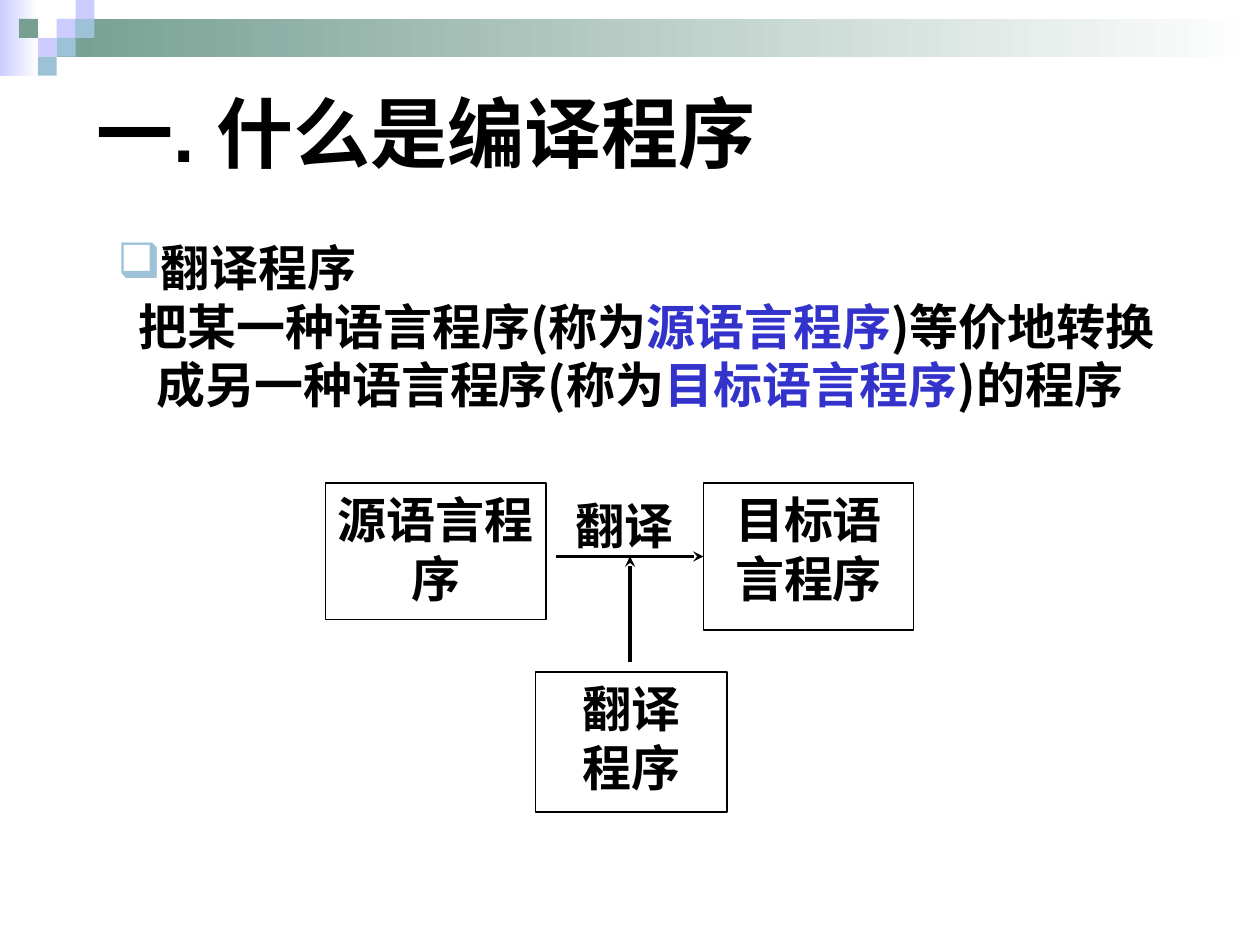
from dataclasses import dataclass

import pptx
import pptx.util
import pptx.dml.color
import pptx.enum.shapes
import pptx.enum.text
import pptx.oxml
import pptx.oxml.ns

ALIGN = pptx.enum.text.PP_ALIGN
ANCHOR = pptx.enum.text.MSO_ANCHOR
RECTANGLE = pptx.enum.shapes.MSO_SHAPE.RECTANGLE
STRAIGHT = pptx.enum.shapes.MSO_CONNECTOR.STRAIGHT


@dataclass(frozen=True)
class Theme:
    ink: str = "000000"
    term: str = "3333CC"
    lilac: str = "CCCCFF"
    sky: str = "9DC2D7"
    green: str = "779F92"
    paper: str = "FFFFFF"
    heading_font: str = "Arial"
    body_font: str = "Noto Sans CJK SC"
    label_font: str = "Times New Roman"
    heading_size: int = 44
    body_size: int = 28
    outline: float = 0.75
    arrow: int = 2


THEME = Theme()


def grid(*counts):
    """Lengths in grid units; the slide has 120 columns and 90 rows."""
    return [pptx.util.Inches(count / 12) for count in counts]


def tiles(*counts):
    """Lengths in corner tiles of 0.15 inch."""
    return [pptx.util.Inches(count * 0.15) for count in counts]


def rgb(value):
    return pptx.dml.color.RGBColor.from_string(value)


def add_element(parent, tag, **attributes):
    child = pptx.oxml.parse_xml(f"<a:{tag} {pptx.oxml.ns.nsdecls('a')}/>")
    for name, value in attributes.items():
        child.set(name, value)
    parent.append(child)
    return child


def add_span(para, text, font, size=THEME.body_size, color=THEME.ink):
    span = para.add_run()
    span.text = text
    span.font.name = font
    span.font.size = pptx.util.Pt(size)
    span.font.bold = True
    span.font.color.rgb = rgb(color)
    add_element(span.font._element, "ea", typeface=THEME.body_font)


def fill_centered(frame, lines):
    """Write (text, font) pairs as centred paragraphs."""
    for index, (text, font) in enumerate(lines):
        para = frame.add_paragraph() if index else frame.paragraphs[0]
        para.alignment = ALIGN.CENTER
        add_span(para, text, font)


def add_block(page, place):
    block = page.shapes.add_shape(RECTANGLE, *place)
    block.shadow.inherit = False
    block.line.fill.background()
    return block


def add_tile(page, column, row, color):
    tile = add_block(page, tiles(column, row, 1, 1))
    tile.fill.solid()
    tile.fill.fore_color.rgb = rgb(color)


def add_fade(page, place, color):
    """Add a block that fades from the colour at left to paper at right."""
    block = add_block(page, place)
    block.fill.gradient()
    block.fill.gradient_angle = 180
    for stop, value, position in zip(block.fill.gradient_stops, (THEME.paper, color), (0, 1)):
        stop.color.rgb = rgb(value)
        stop.position = position


def add_header(page):
    add_fade(page, tiles(0, 0, 2, 4), THEME.lilac)
    add_fade(page, tiles(3, 1, 63.67, 2), THEME.green)
    for column, row, color in (
        (3, 1, THEME.lilac), (4, 0, THEME.lilac), (4, 1, THEME.sky),
        (2, 2, THEME.lilac), (1, 1, THEME.green), (3, 2, THEME.sky), (2, 3, THEME.sky),
    ):
        add_tile(page, column, row, color)


def add_title(page, text):
    title = page.shapes.title
    title.left, title.top, title.width, title.height = grid(8, 5, 102, 15)
    frame = title.text_frame
    frame.auto_size = pptx.enum.text.MSO_AUTO_SIZE.NONE
    frame.vertical_anchor = ANCHOR.MIDDLE
    para = frame.paragraphs[0]
    para.alignment = ALIGN.LEFT
    add_span(para, text, THEME.heading_font, THEME.heading_size)


def set_indent(para, left, first):
    properties = para._p.get_or_add_pPr()
    properties.set("marL", str(pptx.util.Inches(left)))
    properties.set("indent", str(pptx.util.Inches(first)))
    return properties


def add_definition(page):
    box = page.shapes.add_textbox(*grid(10, 22, 105, 23.6))
    frame = box.text_frame
    frame.word_wrap = True

    term = frame.paragraphs[0]
    properties = set_indent(term, 0.31, -0.31)
    add_element(add_element(properties, "buClr"), "srgbClr", val=THEME.sky)
    add_element(properties, "buChar", char="❑")
    add_span(term, "翻译程序", THEME.body_font)

    meaning = frame.add_paragraph()
    set_indent(meaning, 0.31, -0.14)
    for text, color in (
        ("把某一种语言程序(称为", THEME.ink),
        ("源语言程序", THEME.term),
        (")等价地转换成另一种语言程序(称为", THEME.ink),
        ("目标语言程序", THEME.term),
        (")的程序", THEME.ink),
    ):
        add_span(meaning, text, THEME.body_font, color=color)


def add_box(page, place, lines):
    box = add_block(page, grid(*place))
    box.fill.background()
    box.line.color.rgb = rgb(THEME.ink)
    box.line.width = pptx.util.Pt(THEME.outline)
    box.text_frame.word_wrap = True
    box.text_frame.vertical_anchor = ANCHOR.TOP
    fill_centered(box.text_frame, lines)
    return box


def add_arrow(page, start, end):
    arrow = page.shapes.add_connector(STRAIGHT, *grid(*start, *end))
    arrow.line.color.rgb = rgb(THEME.ink)
    arrow.line.width = pptx.util.Pt(THEME.arrow)
    add_element(arrow.line._get_or_add_ln(), "tailEnd", type="stealth")
    add_element(arrow._element.spPr, "effectLst")
    return arrow


def add_label(page, place, text):
    label = page.shapes.add_textbox(*grid(*place))
    label.text_frame.word_wrap = False
    label.text_frame.vertical_anchor = ANCHOR.MIDDLE
    fill_centered(label.text_frame, [(text, THEME.label_font)])


def add_diagram(page):
    add_box(page, (31, 46, 21, 13), [("源语言程序", THEME.body_font)])
    target = add_box(page, (67, 46, 20, 14), [("目标语言程序", THEME.body_font)])
    add_box(page, (51, 64, 18.25, 13.33),
            [("翻译", THEME.label_font), ("程序", THEME.body_font)])
    translation = add_arrow(page, (53, 53), (67, 53))
    translation.end_connect(target, 1)
    add_arrow(page, (60, 63), (60, 53))
    add_label(page, (52, 46, 15, 8), "翻译")


def main():
    deck = pptx.Presentation()
    deck.slide_width, deck.slide_height = grid(120, 90)
    page = deck.slides.add_slide(deck.slide_layouts[5])
    add_header(page)
    add_title(page, "一. 什么是编译程序")
    add_definition(page)
    add_diagram(page)
    deck.save("out.pptx")


if __name__ == "__main__":
    main()
